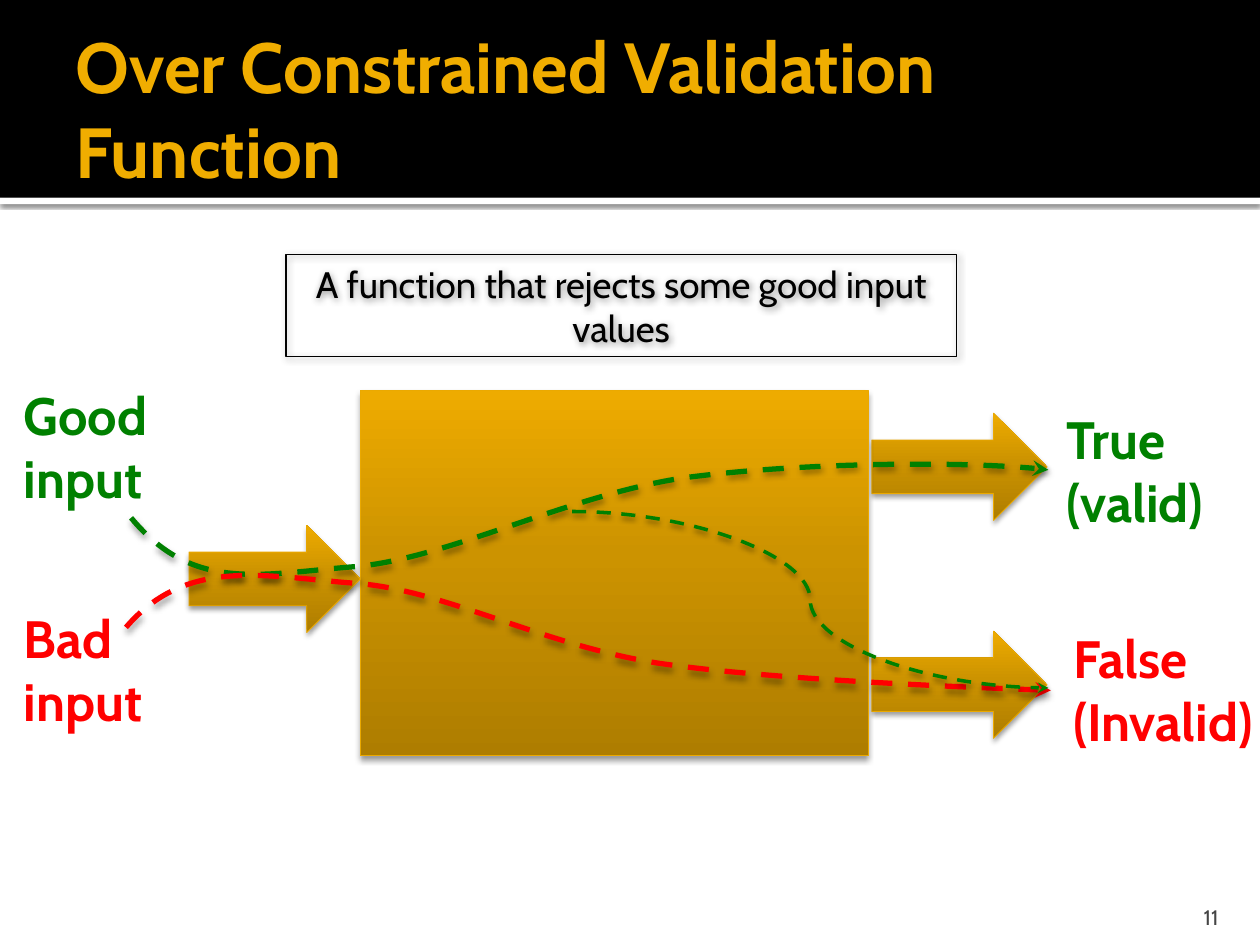
import copy

import pptx
import pptx.dml.color
import pptx.enum.dml
import pptx.enum.shapes
import pptx.enum.text
import pptx.oxml
import pptx.oxml.ns
import pptx.util
from pptx.util import Inches

COLORS = {
    "black": "000000", "white": "FFFFFF", "title": "F0AD00", "number": "454545",
    "good": "008000", "bad": "FF0000", "edge": "EBA900",
}
GOLD_STOPS = [(0, "AE7D00"), (0.55, "CC9300"), (1, "EEAB00")]
FONT = "Cabin"
SHAPE = pptx.enum.shapes.MSO_SHAPE
ALIGN = pptx.enum.text.PP_ALIGN
ANCHOR = pptx.enum.text.MSO_ANCHOR
qn = pptx.oxml.ns.qn


def rgb(name):
    return pptx.dml.color.RGBColor.from_string(COLORS.get(name, name))


def xml(tag, attributes="", inner=""):
    namespace = pptx.oxml.ns.nsdecls("a")
    return pptx.oxml.parse_xml(f"<a:{tag} {namespace} {attributes}>{inner}</a:{tag}>")


def write_text(frame, text, size, color, bold=False, align=ALIGN.LEFT,
               anchor=ANCHOR.TOP, insets=(0.1, 0.05, 0.1, 0.05)):
    """Each line of text becomes a paragraph; insets are left, top, right, bottom."""
    frame.text = text
    frame.word_wrap = True
    frame.auto_size = pptx.enum.text.MSO_AUTO_SIZE.NONE
    frame.vertical_anchor = anchor
    (frame.margin_left, frame.margin_top,
     frame.margin_right, frame.margin_bottom) = map(Inches, insets)
    for paragraph in frame.paragraphs:
        paragraph.alignment = align
        font = paragraph.runs[0].font
        font.name, font.size, font.bold = FONT, pptx.util.Pt(size), bold
        font.color.rgb = rgb(color)


def cast_shadow(shape, alpha, blur, distance, angle=90):
    properties = shape._element.spPr
    for old in properties.findall(qn("a:effectLst")):
        properties.remove(old)
    shade = (f'<a:outerShdw blurRad="{pptx.util.Pt(blur)}" dist="{pptx.util.Pt(distance)}" '
             f'dir="{angle * 60000}" algn="ctr" rotWithShape="0"><a:srgbClr val="000000">'
             f'<a:alpha val="{alpha * 1000}"/></a:srgbClr></a:outerShdw>')
    properties.append(xml("effectLst", inner=shade))


def add_block(slide, kind, box, fill=None):
    block = slide.shapes.add_shape(kind, *map(Inches, box))
    block.shadow.inherit = False
    block.line.fill.background()
    if fill:
        block.fill.solid()
        block.fill.fore_color.rgb = rgb(fill)
    else:
        block.fill.background()
    return block


def add_gold_block(slide, kind, box):
    block = add_block(slide, kind, box)
    block.fill.gradient()
    block.fill.gradient_angle = 90
    stop_list = block._element.spPr.find(".//" + qn("a:gsLst"))
    stop_list.append(copy.deepcopy(stop_list[-1]))
    for stop, (position, color) in zip(block.fill.gradient_stops, GOLD_STOPS):
        stop.position = position
        stop.color.rgb = rgb(color)
    block.line.color.rgb = rgb("edge")
    block.line.width = pptx.util.Pt(0.5)
    cast_shadow(block, 38, 3.1, 2)


def style_path(shape, color, width):
    line = shape.line
    line.color.rgb = rgb(color)
    line.width = pptx.util.Pt(width)
    line.dash_style = pptx.enum.dml.MSO_LINE.DASH
    shape._element.spPr.find(qn("a:ln")).append(xml("tailEnd", 'type="stealth"'))
    cast_shadow(shape, 38, 3.5, 2)


def add_curve(slide, points, color):
    """Start point, then three Bezier points for each segment."""
    vertices = [(Inches(x), Inches(y)) for x, y in points]
    builder = slide.shapes.build_freeform(*vertices[0])
    builder.add_line_segments(vertices[1:], close=False)
    curve = builder.convert_to_shape()
    outline = curve._element.spPr.find(".//" + qn("a:path"))
    segments = outline.findall(qn("a:lnTo"))
    for first in range(0, len(segments), 3):
        bezier = xml("cubicBezTo")
        for segment in segments[first:first + 3]:
            bezier.append(segment[0])
            outline.remove(segment)
        outline.append(bezier)
    curve.fill.background()
    style_path(curve, color, 3)


def add_header(slide, left, top, width, height):
    rule = add_block(slide, SHAPE.RECTANGLE, (left, top + height, width, 0.05), "white")
    cast_shadow(rule, 60, 2.5, 0.8)
    add_block(slide, SHAPE.RECTANGLE, (left, top, width, height), "black")
    title = slide.shapes.title
    title.left, title.top = Inches(left + 0.5), Inches(top + 0.17)
    title.width, title.height = Inches(width - 1), Inches(1.37)
    write_text(title.text_frame, "Over Constrained Validation Function", 40.5, "title",
               bold=True, anchor=ANCHOR.MIDDLE, insets=(0.1, 0.05, 0.05, 0.05))
    slide.shapes._spTree.append(title._element)  # bring in front of the band


def add_definition(slide, *box):
    definition = add_block(slide, SHAPE.RECTANGLE, box)
    definition.line.color.rgb = rgb("black")
    definition.line.width = pptx.util.Pt(0.75)
    cast_shadow(definition, 43, 4, 1, 45)
    write_text(definition.text_frame, "A function that rejects some good input values",
               21, "black", align=ALIGN.CENTER, anchor=ANCHOR.MIDDLE)


def add_flow(slide, left, top):
    def shift(points):
        return [(left + x, top + y) for x, y in points]

    # Output arrows, function box, input arrow
    for kind, x, y, width, height in [
        (SHAPE.RIGHT_ARROW, 6.92, 2.01, 1.39, 0.85),
        (SHAPE.RIGHT_ARROW, 6.92, 0.28, 1.39, 0.85),
        (SHAPE.RECTANGLE, 2.86, 0.1, 4.03, 2.9),
        (SHAPE.RIGHT_ARROW, 1.5, 1.17, 1.36, 0.85),
    ]:
        add_gold_block(slide, kind, (left + x, top + y, width, height))

    # Input and output labels
    for text, color, x, y, width in [
        ("True\n(valid)", "good", 8.37, 0.18, 1.44),
        ("False\n(Invalid)", "bad", 8.42, 1.92, 1.68),
        ("Good\ninput", "good", 0.09, -0.01, 1.49),
        ("Bad\ninput", "bad", 0.09, 1.76, 1.63),
    ]:
        label = slide.shapes.add_textbox(
            *map(Inches, (left + x, top + y, width, 1.11)))
        write_text(label.text_frame, text, 30, color, bold=True)

    # Paths of good and bad values
    add_curve(slide, shift([
        (1.04, 1.11), (1.53, 1.7), (2.05, 1.56), (2.79, 1.5), (3.52, 1.45),
        (4.53, 0.92), (5.45, 0.79), (6.37, 0.67), (7.77, 0.66), (8.32, 0.73)]), "good")
    add_curve(slide, shift([
        (1, 1.98), (1.49, 1.41), (2.12, 1.58), (2.82, 1.63), (3.52, 1.68),
        (4.28, 2.11), (5.2, 2.26), (6.12, 2.4), (8.34, 2.48), (8.34, 2.48)]), "bad")

    # Good values that are wrongly rejected
    (x1, y1), (x2, y2) = shift([(4.54, 1.06), (8.32, 2.46)])
    rejected = slide.shapes.add_connector(
        pptx.enum.shapes.MSO_CONNECTOR.CURVE, *map(Inches, (x1, y1, x2, y2)))
    style_path(rejected, "good", 2)


def add_slide_number(slide, *box):
    number = slide.shapes.add_textbox(*map(Inches, box))
    write_text(number.text_frame, "11", 12, "number", align=ALIGN.RIGHT,
               anchor=ANCHOR.BOTTOM, insets=(0.1, 0.05, 0.1, 0))


def main():
    deck = pptx.Presentation()
    deck.slide_width, deck.slide_height = Inches(10), Inches(7.5)
    slide = deck.slides.add_slide(deck.slide_layouts[5])
    add_header(slide, 0, 0, 10, 1.57)
    add_flow(slide, 0, 3)
    add_definition(slide, 2.27, 2.02, 5.32, 0.81)
    add_slide_number(slide, 8.97, 7.08, 0.8, 0.3)
    deck.save("out.pptx")


if __name__ == "__main__":
    main()
